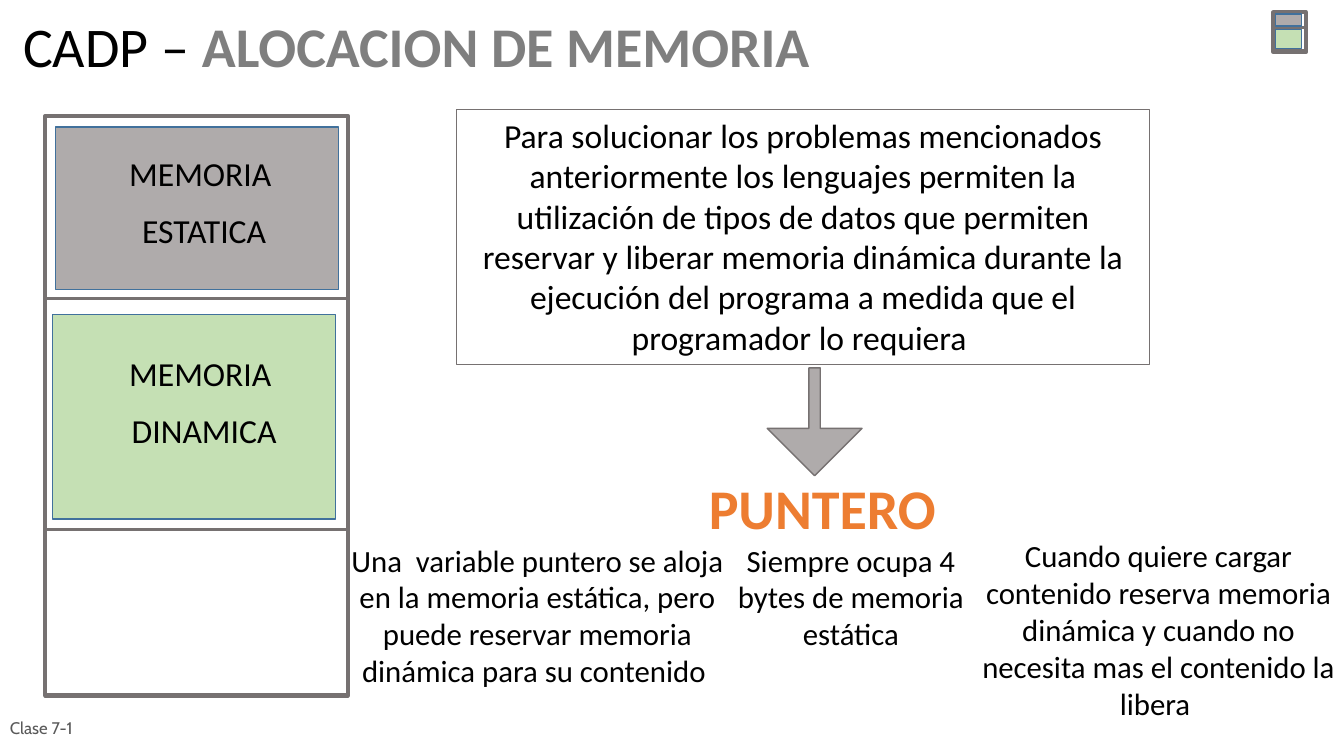
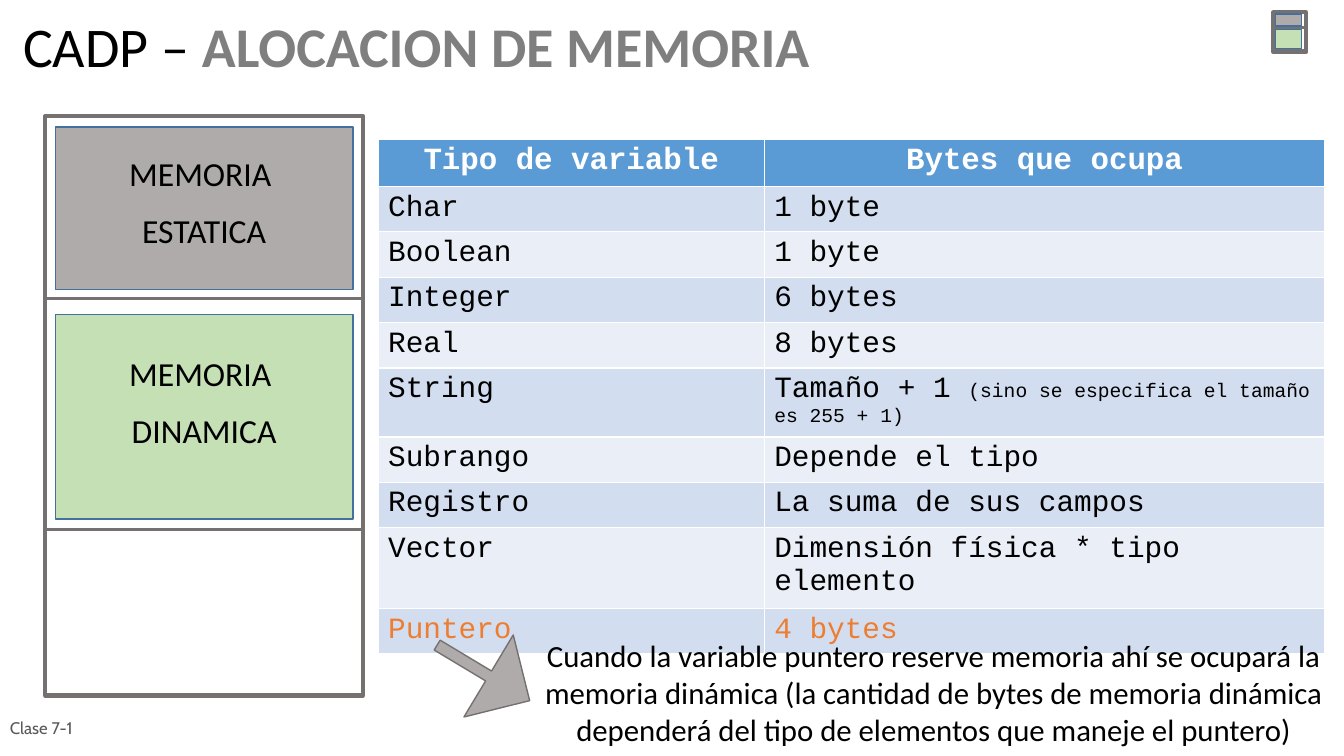
"""Build two slides on memory allocation and pointers."""
from lxml.etree import SubElement
from pptx import Presentation
from pptx.dml.color import RGBColor
from pptx.enum.shapes import MSO_CONNECTOR, MSO_SHAPE
from pptx.enum.text import MSO_ANCHOR, MSO_AUTO_SIZE, PP_ALIGN
from pptx.oxml.ns import qn
from pptx.util import Inches, Pt

HUES = {
    "black": "000000", "white": "FFFFFF", "title": "7F7F7F", "foot": "595959",
    "edge": "767171", "rim": "41719C", "gray": "AFABAB", "green": "C5E0B4",
    "orange": "ED7D31", "head": "5B9BD5", "odd": "D2DEEF", "even": "EAEFF7",
}
TITLE = [("CADP – ", "black", False), ("ALOCACION DE MEMORIA", "title", True)]
FOOT = "Clase 7-1"
LABELS = [("ESTATICA", 1.47), ("DINAMICA", 3.45)]
ICON = {
    "frame": (12.63, 0.12, 0.32, 0.4),
    "cuts": (0.27, 0.5),
    "parts": [("gray", 12.65, 0.14, 0.26, 0.12), ("green", 12.65, 0.29, 0.26, 0.19)],
}
INTRO = (
    "Para solucionar los problemas mencionados anteriormente los lenguajes "
    "permiten la utilización de tipos de datos que permiten reservar y liberar "
    "memoria dinámica durante la ejecución del programa a medida que el "
    "programador lo requiera "
)
FACTS = [
    ("Una  variable puntero se aloja en la memoria estática, pero puede "
     "reservar memoria dinámica para su contenido ", (3.36, 5.32, 3.94, 1.58)),
    ("Siempre ocupa 4 bytes de memoria estática", (7.06, 5.32, 2.76, 1.21)),
    ("Cuando quiere cargar contenido reserva memoria dinámica y cuando no "
     "necesita mas el contenido la libera ", (9.52, 5.28, 3.94, 1.95)),
]
NOTE = (
    "Cuando la variable puntero reserve memoria ahí se ocupará la memoria "
    "dinámica (la cantidad de bytes de memoria dinámica dependerá del tipo de "
    "elementos que maneje el puntero)"
)
SIZES = [
    ("Tipo de variable", "Bytes que ocupa"),
    ("Char", "1 byte"),
    ("Boolean", "1 byte"),
    ("Integer", "6 bytes"),
    ("Real", "8 bytes"),
    ("String", "Tamaño + 1 "),
    ("Subrango", "Depende el tipo"),
    ("Registro", "La suma de sus campos"),
    ("Vector", "Dimensión física * tipo elemento"),
    ("Puntero", "4 bytes"),
]
ASIDE = "(sino se especifica el tamaño es 255 + 1)"
COLS = (3.83, 5.56)
ROW = 0.45
TALL = {0: 0.47, 5: 0.68}


def hue(name):
    return RGBColor.from_string(HUES[name])


def box(at):
    return [Inches(n) for n in at]


def write(para, text, size, color="black", bold=False, font="Calibri"):
    run = para.add_run()
    run.text = text
    run.font.size = Pt(size)
    run.font.name = font
    run.font.bold = bold
    run.font.color.rgb = hue(color)


def stroke(line, color, width):
    line.color.rgb = hue(color)
    line.width = Pt(width)


def shape(shapes, kind, at, fill, edge, width):
    item = shapes.add_shape(kind, *box(at))
    item.shadow.inherit = False
    if fill:
        item.fill.solid()
        item.fill.fore_color.rgb = hue(fill)
    else:
        item.fill.background()
    stroke(item.line, edge, width)
    return item


def text(slide, at, lines, size, color="black", bold=False):
    item = slide.shapes.add_textbox(*box(at))
    fill_text(item.text_frame, lines, size, color, bold)


def fill_text(frame, lines, size, color="black", bold=False):
    frame.word_wrap = True
    frame.vertical_anchor = MSO_ANCHOR.TOP
    for i, line in enumerate(lines):
        para = frame.add_paragraph() if i else frame.paragraphs[0]
        para.alignment = PP_ALIGN.CENTER
        if i:
            para.space_before = Pt(12)
        write(para, line, size, color, bold)


def memory(shapes, frame, cuts, parts):
    left, _, wide, _ = frame
    shape(shapes, MSO_SHAPE.RECTANGLE, frame, None, "edge", 3)
    for y in cuts:
        cut = shapes.add_connector(
            MSO_CONNECTOR.STRAIGHT, *box((left, y, left + wide, y)))
        stroke(cut.line, "edge", 2.25)
        SubElement(cut.element.spPr, qn("a:effectLst"))
    for fill, *at in parts:
        shape(shapes, MSO_SHAPE.RECTANGLE, at, fill, "rim", 1)


def arrow(slide, at, turn=0):
    item = shape(slide.shapes, MSO_SHAPE.DOWN_ARROW, at, "gray", "edge", 1)
    item.adjustments[0] = 0.12
    item.adjustments[1] = 0.5
    item.rotation = turn


def base(deck, wide, inner, left):
    slide = deck.slides.add_slide(deck.slide_layouts[5])
    title = slide.shapes.title
    title.left, title.top, title.width, title.height = box((0.13, 0.14, 8.74, 0.76))
    frame = title.text_frame
    frame.auto_size = MSO_AUTO_SIZE.NONE
    frame.vertical_anchor = MSO_ANCHOR.TOP
    para = frame.paragraphs[0]
    para.alignment = PP_ALIGN.LEFT
    para.line_spacing = 0.9
    for words, color, bold in TITLE:
        write(para, words, 40, color, bold)
    memory(slide.shapes, (0.45, 1.15, wide, 5.75), (2.96, 5.25),
           [("gray", 0.55, 1.26, inner, 1.61), ("green", left, 3.12, inner, 2.03)])
    for word, top in LABELS:
        text(slide, (1.16, top, 1.73, 1.11), ["MEMORIA ", word], 24)
    memory(slide.shapes.add_group_shape().shapes, **ICON)
    foot = slide.shapes.add_textbox(*box((0, 7.02, 2.33, 0.4))).text_frame
    foot.word_wrap = True
    foot.vertical_anchor = MSO_ANCHOR.MIDDLE
    write(foot.paragraphs[0], FOOT, 12, "foot", font="Cabin")
    return slide


def pointer(deck):
    slide = base(deck, 3, 2.81, 0.52)
    intro = shape(slide.shapes, MSO_SHAPE.RECTANGLE, (4.53, 1.09, 6.87, 2.53),
                  None, "edge", 0.75)
    fill_text(intro.text_frame, [INTRO], 24)
    arrow(slide, (7.61, 3.65, 0.94, 1.07))
    text(slide, (6.08, 4.65, 4.15, 0.77), ["PUNTERO"], 40, "orange", True)
    for fact, at in FACTS:
        text(slide, at, [fact], 22)


def sizes(deck):
    slide = base(deck, 3.15, 2.95, 0.55)
    highs = [TALL.get(i, ROW) for i in range(len(SIZES))]
    table = slide.shapes.add_table(
        len(SIZES), len(COLS), *box((3.75, 1.38, sum(COLS), sum(highs)))).table
    for col, wide in zip(table.columns, COLS):
        col.width = Inches(wide)
    for i, words in enumerate(SIZES):
        table.rows[i].height = Inches(highs[i])
        head, last = i == 0, i == len(SIZES) - 1
        color = "white" if head else "orange" if last else "black"
        for j, word in enumerate(words):
            cell = table.cell(i, j)
            cell.fill.solid()
            cell.fill.fore_color.rgb = hue("head" if head else "odd" if i % 2 else "even")
            para = cell.text_frame.paragraphs[0]
            para.alignment = PP_ALIGN.CENTER if head else PP_ALIGN.LEFT
            write(para, word, 22 if head else 21, color, head, "Courier New")
    write(table.cell(5, 1).text_frame.paragraphs[0], ASIDE, 14, font="Courier New")
    arrow(slide, (4.32, 6.14, 0.95, 1.07), 301)
    text(slide, (5.05, 6.27, 8.42, 1.21), [NOTE], 22)


def main():
    deck = Presentation()
    deck.slide_width, deck.slide_height = Inches(13.33), Inches(7.5)
    pointer(deck)
    sizes(deck)
    deck.save("out.pptx")


if __name__ == "__main__":
    main()
